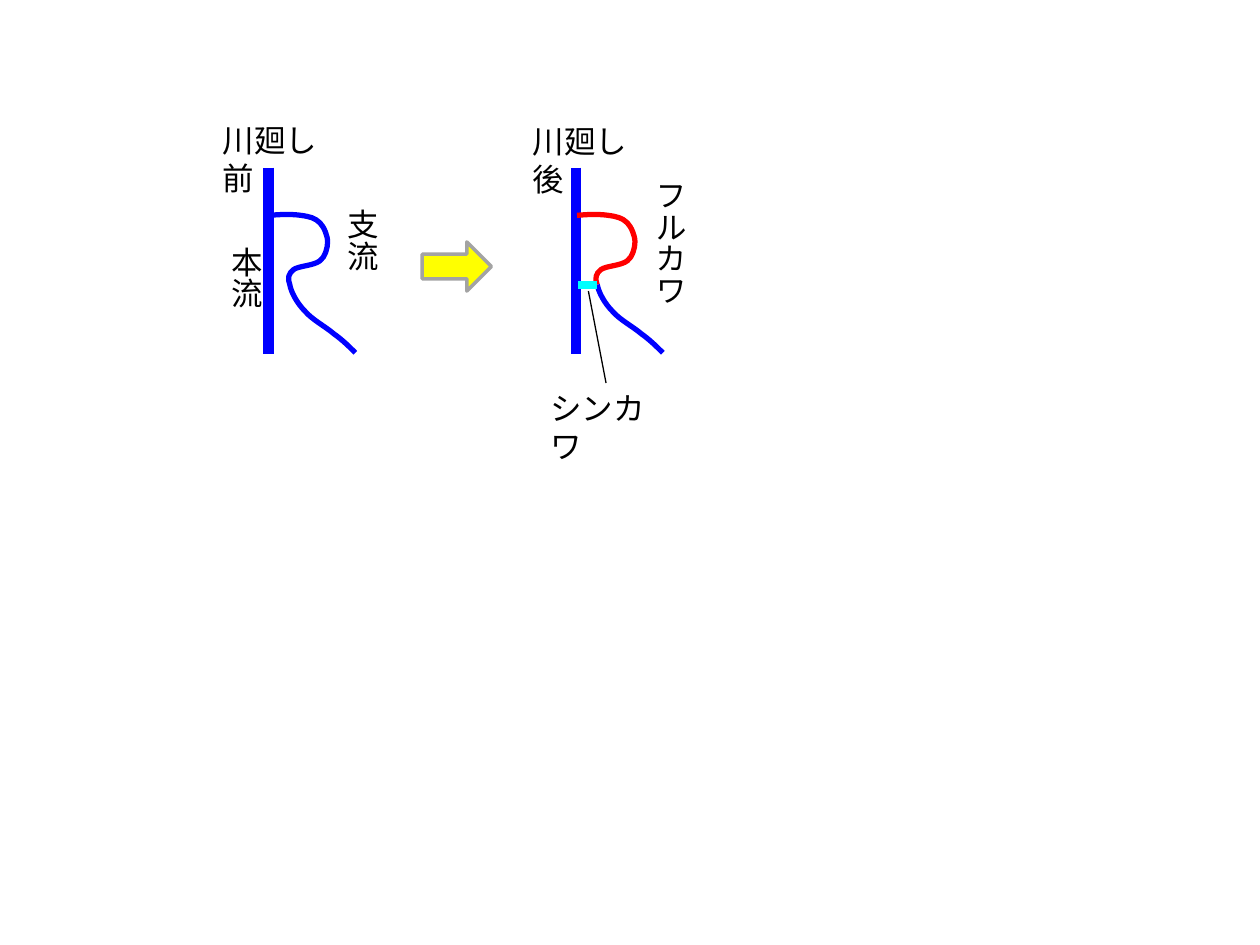
from lxml.etree import SubElement
from pptx import Presentation
from pptx.dml.color import RGBColor
from pptx.enum.shapes import MSO_CONNECTOR, MSO_SHAPE
from pptx.enum.text import MSO_AUTO_SIZE as FIT
from pptx.oxml.ns import qn
from pptx.util import Inches, Pt

BLUE, RED, CYAN = "0000FF", "FF0000", "00FFFF"
YELLOW, GRAY, BLACK = "FFFF00", "A3A3A3", "000000"

SHIFT = 2.44  # from the "before" river to the "after" river
MAIN = (2.13, 1.33, 2.13, 2.81)
# Start point, then two handles and an end point for each bend
BRANCH = [
    (2.14, 1.71),
    (2.23, 1.7), (2.33, 1.7), (2.39, 1.71),
    (2.46, 1.72), (2.5, 1.73), (2.54, 1.77),
    (2.57, 1.8), (2.6, 1.87), (2.6, 1.92),
    (2.6, 1.97), (2.58, 2.04), (2.54, 2.07),
    (2.49, 2.11), (2.37, 2.11), (2.33, 2.14),
    (2.29, 2.17), (2.28, 2.21), (2.3, 2.26),
    (2.31, 2.32), (2.36, 2.41), (2.42, 2.47),
    (2.48, 2.54), (2.58, 2.59), (2.65, 2.65),
    (2.72, 2.7), (2.77, 2.75), (2.82, 2.8),
]
CUT = 18  # index of the point where the new channel starts

# text, left, top, width, height, vertical
LABELS = [
    ("本流", 1.65, 1.86, 0.5, 0.61, True),
    ("支流", 2.57, 1.56, 0.5, 0.61, True),
    ("フルカワ", 5.02, 1.33, 0.5, 1, True),
    ("川廻し前", 1.67, 0.91, 1.15, 0.4, False),
    ("川廻し後", 4.13, 0.92, 1.15, 0.4, False),
    ("シンカワ", 4.27, 3.04, 1.09, 0.4, False),
]


def rgb(code):
    return RGBColor.from_string(code)


def stroke(shape, color, width):
    shape.line.color.rgb = rgb(color)
    shape.line.width = Pt(width)


def add_line(shapes, ends, color, width):
    line = shapes.add_connector(MSO_CONNECTOR.STRAIGHT, *map(Inches, ends))
    stroke(line, color, width)
    SubElement(line._element.spPr, qn("a:effectLst"))


def add_curve(shapes, points, color):
    """Draw an open outline, turning each three line steps into one Bézier."""
    spots = [(Inches(x), Inches(y)) for x, y in points]
    pen = shapes.build_freeform(*spots[0])
    pen.add_line_segments(spots[1:], close=False)
    curve = pen.convert_to_shape()
    curve.shadow.inherit = False
    curve.fill.background()
    stroke(curve, color, 3)
    route = curve._element.find(".//" + qn("a:path"))
    steps = route.findall(qn("a:lnTo"))
    for i in range(0, len(steps), 3):
        bend = SubElement(route, qn("a:cubicBezTo"))
        for step in steps[i:i + 3]:
            bend.append(step[0])
            route.remove(step)


def add_label(shapes, text, x, y, w, h, upright):
    box = shapes.add_textbox(*map(Inches, (x, y, w, h)))
    frame = box.text_frame
    frame.word_wrap = not upright
    frame.auto_size = FIT.SHAPE_TO_FIT_TEXT
    if upright:
        frame._txBody.bodyPr.set("vert", "eaVert")
    run = frame.paragraphs[0].add_run()
    run.text = text
    run.font.name = "Calibri"
    run.font.size = Pt(18)
    run.font.color.rgb = rgb(BLACK)


def main():
    deck = Presentation()
    deck.slide_width, deck.slide_height = Inches(10), Inches(7.5)
    shapes = deck.slides.add_slide(deck.slide_layouts[6]).shapes

    before = shapes.add_group_shape().shapes
    add_line(before, MAIN, BLUE, 6)
    add_curve(before, BRANCH, BLUE)

    x1, y1, x2, y2 = MAIN
    add_line(shapes, (x1 + SHIFT, y1, x2 + SHIFT, y2), BLUE, 6)
    moved = [(x + SHIFT, y) for x, y in BRANCH]
    add_curve(shapes, moved[:CUT + 1], RED)
    add_curve(shapes, moved[CUT:], BLUE)
    add_line(shapes, (4.74, 2.26, 4.59, 2.26), CYAN, 4.5)

    arrow = shapes.add_shape(
        MSO_SHAPE.RIGHT_ARROW, *map(Inches, (3.35, 1.92, 0.55, 0.39)))
    arrow.shadow.inherit = False
    arrow.fill.solid()
    arrow.fill.fore_color.rgb = rgb(YELLOW)
    stroke(arrow, GRAY, 2)

    for label in LABELS:
        add_label(shapes, *label)
    add_line(shapes, (4.67, 2.31, 4.81, 3.04), BLACK, 0.75)
    deck.save("out.pptx")


if __name__ == "__main__":
    main()
